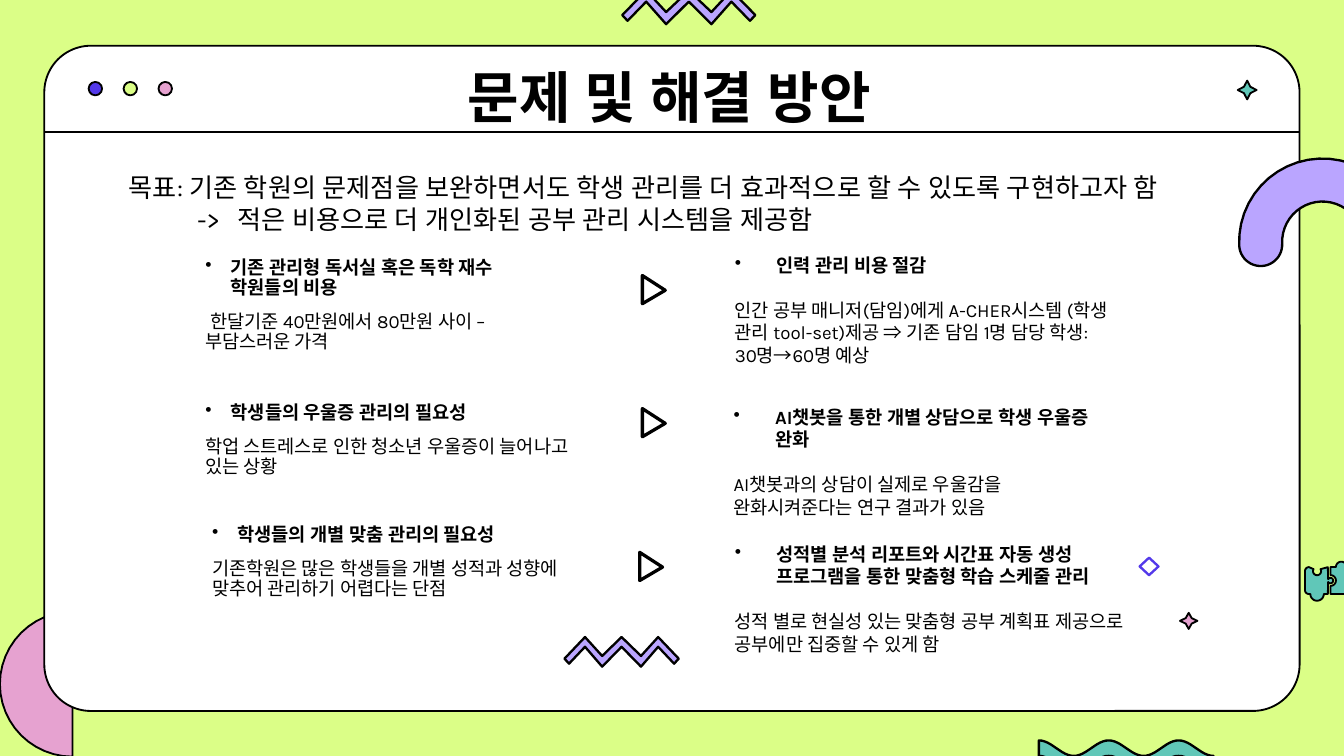
from collections import namedtuple
from dataclasses import dataclass
from math import cos, pi, radians, sin

from lxml import etree
from pptx import Presentation
from pptx.dml.color import RGBColor
from pptx.enum.shapes import MSO_CONNECTOR, MSO_SHAPE
from pptx.enum.text import MSO_ANCHOR, MSO_AUTO_SIZE, PP_ALIGN
from pptx.oxml.ns import qn
from pptx.util import Inches, Pt

CARD, DOT = MSO_SHAPE.ROUNDED_RECTANGLE, MSO_SHAPE.OVAL
SPARKLE, DIAMOND = MSO_SHAPE.STAR_4_POINT, MSO_SHAPE.DIAMOND
STRAIGHT = MSO_CONNECTOR.STRAIGHT
MIDDLE, TOP = MSO_ANCHOR.MIDDLE, MSO_ANCHOR.TOP
CENTER, LEFT = PP_ALIGN.CENTER, PP_ALIGN.LEFT
NO_FIT = MSO_AUTO_SIZE.NONE

Box = namedtuple("Box", "x y w h")


@dataclass(frozen=True)
class Theme:
    lime: str = "DBFE87"
    pink: str = "E6A2D0"
    teal: str = "60C7B8"
    lilac: str = "BAA5FF"
    indigo: str = "5339EA"
    white: str = "FFFFFF"
    ink: str = "000000"
    font: str = "Karla"
    title: int = 30
    goal: int = 14
    body: int = 10
    thin: float = 1
    medium: float = 1.25
    thick: float = 1.75


THEME = Theme()
SLIDE = Box(0, 0, 10, 10 * 9 / 16)

PROBLEMS = [
    (Box(1.43, 1.87, 2.77, 0.3), "기존 관리형 독서실 혹은 독학 재수 학원들의 비용",
     "한달기준 40만원에서 80만원 사이 – 부담스러운 가격", 0.04),
    (Box(1.43, 2.95, 2.99, 0.33), "학생들의 우울증 관리의 필요성",
     "학업 스트레스로 인한 청소년 우울증이 늘어나고 있는 상황", 0),
    (Box(1.48, 3.86, 2.99, 0.46), "학생들의 개별 맞춤 관리의 필요성",
     "기존학원은 많은 학생들을 개별 성적과 성향에 맞추어 관리하기 어렵다는 단점", 0),
]
SOLUTIONS = [
    (Box(5.37, 1.84, 3.08, 1.28), "인력 관리 비용 절감",
     "인간 공부 매니저(담임)에게 A-CHER시스템 (학생 관리 tool-set)제공 ⇒ 기존 담임 1명 "
     "담당 학생: 30명→60명 예상"),
    (Box(5.36, 2.97, 3.08, 1.28), "AI챗봇을 통한 개별 상담으로 학생 우울증 완화",
     "AI챗봇과의 상담이 실제로 우울감을 완화시켜준다는 연구 결과가 있음"),
    (Box(5.37, 3.99, 3.36, 0.94),
     "성적별 분석 리포트와 시간표 자동 생성 프로그램을 통한 맞춤형 학습 스케줄 관리",
     "성적 별로 현실성 있는 맞춤형 공부 계획표 제공으로 공부에만 집중할 수 있게 함"),
]
ARROWS = [(4.78, 2.05), (4.78, 3.04), (4.76, 4.11)]


def paint(shape, fill=None, line=THEME.ink, width=THEME.thin):
    shape.shadow.inherit = False
    if fill:
        shape.fill.solid()
        shape.fill.fore_color.rgb = RGBColor.from_string(fill)
    else:
        shape.fill.background()
    shape.line.color.rgb = RGBColor.from_string(line)
    shape.line.width = Pt(width)
    return shape


def preset(page, kind, box, **style):
    return paint(page.shapes.add_shape(kind, *map(Inches, box)), **style)


def outline(page, origin, points, **style):
    """Closed polygon; points are inches from the origin."""
    dots = [(Inches(origin[0] + x), Inches(origin[1] + y)) for x, y in points]
    builder = page.shapes.build_freeform(*dots[0])
    builder.add_line_segments(dots[1:], close=True)
    return paint(builder.convert_to_shape(), **style)


def arc(x, y, radius, start, end, steps=24):
    """Points on a circle; degrees run clockwise from the right."""
    angles = [radians(start + (end - start) * i / steps) for i in range(steps + 1)]
    return [(x + radius * cos(a), y + radius * sin(a)) for a in angles]


def add_text(frame, text, first=False, size=THEME.body, bold=False, align=LEFT,
             spacing=None, before=0, margin=0, hanging=0, bullet=None):
    para = frame.paragraphs[0] if first else frame.add_paragraph()
    properties = para._p.get_or_add_pPr()
    properties.set("marL", str(Inches(margin)))
    properties.set("indent", str(-Inches(hanging)))
    if bullet:
        etree.SubElement(properties, qn("a:buChar")).set("char", bullet)
    para.alignment = align
    para.space_before = Pt(before)
    if spacing:
        para.line_spacing = spacing
    span = para.add_run()
    span.text = text
    span.font.name, span.font.size, span.font.bold = THEME.font, Pt(size), bold
    span.font.color.rgb = RGBColor.from_string(THEME.ink)
    etree.SubElement(span._r.get_or_add_rPr(), qn("a:ea")).set("typeface", THEME.font)


def text_frame(page, box, right=0.1):
    frame = page.shapes.add_textbox(*map(Inches, box)).text_frame
    frame.word_wrap = True
    frame.vertical_anchor = TOP
    frame.margin_right = Inches(right)
    return frame


def window(page, box):
    card = preset(page, CARD, box, fill=THEME.white)
    card.adjustments[0] = 0.07
    bar = box.y + 0.64
    rule = page.shapes.add_connector(
        STRAIGHT, *map(Inches, (box.x, bar, box.x + box.w, bar)))
    rule.line.color.rgb = RGBColor.from_string(THEME.ink)
    rule.line.width = Pt(THEME.thin)
    etree.SubElement(rule.element.spPr, qn("a:effectLst"))
    for i, color in enumerate((THEME.indigo, THEME.lime, THEME.pink)):
        preset(page, DOT, Box(box.x + 0.33 + 0.26 * i, box.y + 0.27, 0.1, 0.1), fill=color)


def heading(page, box, text):
    title = page.shapes.title
    title.left, title.top, title.width, title.height = map(Inches, box)
    title.element.getparent().append(title.element)
    frame = title.text_frame
    frame.auto_size, frame.vertical_anchor = NO_FIT, MIDDLE
    add_text(frame, text, first=True, size=THEME.title, bold=True, align=CENTER, spacing=0.9)


def goal(page, box):
    frame = text_frame(page, box)
    add_text(frame, "목표: 기존 학원의 문제점을 보완하면서도 학생 관리를 더 효과적으로 할 수 있도록 구현하고자 함",
             first=True, size=THEME.goal)
    add_text(frame, "->\t적은 비용으로 더 개인화된 공부 관리 시스템을 제공함",
             size=THEME.goal, margin=0.81, hanging=0.3)


def problem(page, box, topic, detail, margin):
    frame = text_frame(page, box)
    add_text(frame, topic, first=True, bold=True, spacing=0.9,
             margin=0.19, hanging=0.19, bullet="•")
    add_text(frame, detail, spacing=0.9, before=7.5, hanging=-margin)


def solution(page, box, topic, detail):
    frame = text_frame(page, box, right=0.2 if box.w < 3.2 else 0.1)
    add_text(frame, topic, first=True, bold=True, margin=0.31, hanging=0.31, bullet="•")
    add_text(frame, detail, before=12)


def zigzag(page, box):
    upper = [(0, 0.73), (0.18, 0), (0.33, 0.64), (0.5, 0), (0.67, 0.64), (0.82, 0), (1, 0.73)]
    lower = [(0.96, 0.9), (0.82, 0.33), (0.67, 1), (0.5, 0.33), (0.33, 1), (0.18, 0.33), (0.04, 0.9)]
    outline(page, box, [(x * box.w, y * box.h) for x, y in upper + lower],
            fill=THEME.lilac, width=THEME.medium)


def wave(page, box):
    crest = [(box.w * i / 60, box.h / 4 * (1 - cos(5 * pi * i / 60))) for i in range(61)]
    trough = [(x, y + box.h / 2) for x, y in reversed(crest)]
    outline(page, box, crest + trough, fill=THEME.teal, width=THEME.medium)


def arch(page, center, middle=0.46, half=0.16, start=177.5):
    end = start + 180
    left, right = arc(0, 0, middle, start, end, steps=1)
    points = (arc(0, 0, middle + half, start, end) + arc(*right, half, end, end + 180)
              + arc(0, 0, middle - half, end, start) + arc(*left, half, start - 180, start))
    outline(page, center, points, fill=THEME.lilac, width=THEME.medium)


def puzzle(page, box):
    left = (arc(0.03, 0.07, 0.03, 180, 270) + arc(0.09, 0.07, 0.03, 210, -30)
            + [(0.17, 0.04)] + arc(0.19, 0.14, 0.02, 210, 510) + [(0.17, 0.24)]
            + arc(0.09, 0.24, 0.05, 0, 180) + arc(0.03, 0.21, 0.03, 90, 180))
    right = (arc(0.27, 0.04, 0.04, 180, 360) + arc(0.34, 0.07, 0.03, 270, 360)
             + arc(0.34, 0.21, 0.03, 0, 90) + [(0.19, 0.24)]
             + arc(0.19, 0.14, 0.04, 90, -90) + [(0.19, 0.04)])
    for piece in (left, right):
        outline(page, box, piece, fill=THEME.teal)


def decorations(page):
    puzzle(page, Box(9.71, 4.18, 0.37, 0.28))
    for box, color in ((Box(8.78, 4.56, 0.13, 0.12), THEME.pink),
                       (Box(9.21, 0.6, 0.14, 0.14), THEME.teal)):
        preset(page, SPARKLE, box, fill=color).adjustments[0] = 0.24
    for box in (Box(4.2, 4.74, 0.85, 0.22), Box(4.63, -0.07, 0.99, 0.25)):
        zigzag(page, box)
    preset(page, DIAMOND, Box(8.48, 4.15, 0.14, 0.13), line=THEME.indigo, width=THEME.medium)
    arch(page, (9.84, 1.8))
    wave(page, Box(7.73, 5.51, 1.3, 0.23))
    for corner in ARROWS:
        outline(page, corner, [(0, 0), (0.17, 0.11), (0, 0.21)], width=THEME.thick)


def main():
    deck = Presentation()
    deck.slide_width, deck.slide_height = Inches(SLIDE.w), Inches(SLIDE.h)
    page = deck.slides.add_slide(deck.slide_layouts[5])
    page.background.fill.solid()
    page.background.fill.fore_color.rgb = RGBColor.from_string(THEME.lime)
    outline(page, (0.54, 5.09), arc(0, 0, 0.54, 90, 270), fill=THEME.pink)
    window(page, Box(0.33, 0.34, 9.34, 4.95))
    heading(page, Box(0.77, 0.55, 8.42, 0.4), "문제 및 해결 방안")
    decorations(page)
    goal(page, Box(0.86, 1.23, 8.93, 0.57))
    for row in PROBLEMS:
        problem(page, *row)
    for row in SOLUTIONS:
        solution(page, *row)
    deck.save("out.pptx")


if __name__ == "__main__":
    main()
